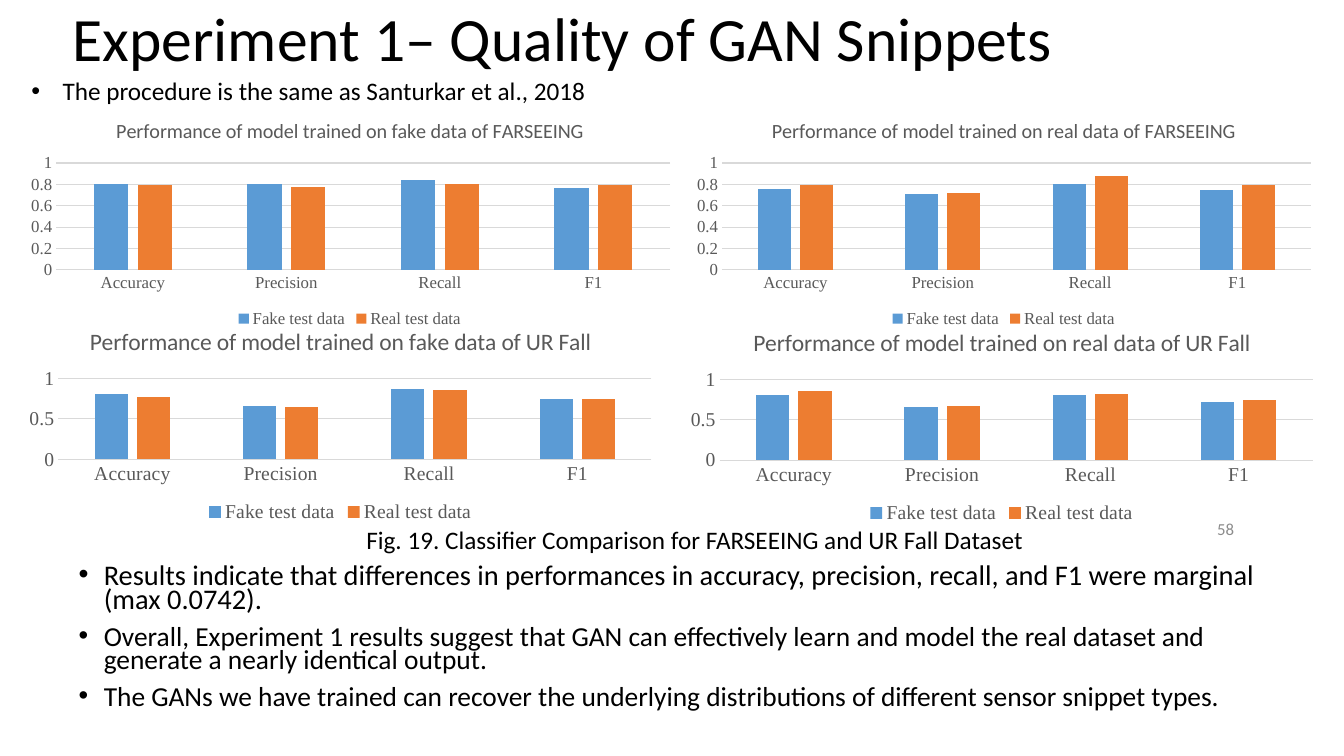
from dataclasses import dataclass

from pptx import Presentation
from pptx.chart.data import CategoryChartData
from pptx.dml.color import RGBColor
from pptx.enum.chart import XL_CHART_TYPE as ChartType
from pptx.enum.chart import XL_LEGEND_POSITION as LegendPosition
from pptx.enum.chart import XL_TICK_MARK as TickMark
from pptx.enum.text import MSO_ANCHOR as Anchor
from pptx.enum.text import MSO_AUTO_SIZE as AutoSize
from pptx.enum.text import PP_ALIGN as Align
from pptx.oxml import parse_xml
from pptx.oxml.ns import nsdecls, qn
from pptx.oxml.xmlchemy import OxmlElement
from pptx.util import Inches, Pt

# The slide is a grid of 100 columns by 100 rows
WIDTH, HEIGHT = Inches(13.33), Inches(7.5)
GRID = 100


@dataclass(frozen=True)
class Theme:
    sans: str = "Calibri"
    serif: str = "Times New Roman"
    ink: str = "000000"
    chart_ink: str = "595959"
    rule: str = "D9D9D9"
    number_ink: str = "8C8C8C"
    fake: str = "5B9BD5"
    real: str = "ED7D31"
    title: float = 44
    text: float = 18
    lead_finding: float = 20.3
    finding: float = 19.6
    number: float = 12
    chart_title_ratio: float = 1.2


@dataclass(frozen=True)
class Place:
    column: float
    row: float
    columns: float
    rows: float

    def bounds(self) -> tuple:
        return (int(WIDTH * self.column / GRID), int(HEIGHT * self.row / GRID),
                int(WIDTH * self.columns / GRID), int(HEIGHT * self.rows / GRID))


@dataclass(frozen=True)
class ChartStyle:
    size: float
    unit: float
    plot: tuple  # x, y, width, height as shares of the chart


@dataclass(frozen=True)
class ScoreChart:
    title: str
    place: Place
    style: ChartStyle
    fake: tuple
    real: tuple


THEME = Theme()
METRICS = ("Accuracy", "Precision", "Recall", "F1")
UPPER = ChartStyle(12, 0.2, (0.06, 0.26, 0.92, 0.47))
LOWER = ChartStyle(14, 0.5, (0.065, 0.31, 0.915, 0.375))
CHARTS = (
    ScoreChart("fake data of FARSEEING", Place(1.2, 13.73, 49.66, 30.13), UPPER,
               (0.8, 0.8, 0.84, 0.77), (0.79, 0.78, 0.8, 0.79)),
    ScoreChart("real data of FARSEEING", Place(50.86, 13.73, 47.64, 30.13), UPPER,
               (0.76, 0.71, 0.8, 0.75), (0.79, 0.72, 0.88, 0.79)),
    ScoreChart("fake data of UR Fall", Place(1.2, 41.2, 48.24, 28.53), LOWER,
               (0.81, 0.66, 0.87, 0.75), (0.77, 0.65, 0.85, 0.74)),
    ScoreChart("real data of UR Fall", Place(50.41, 41.33, 48.24, 28.53), LOWER,
               (0.81, 0.66, 0.8, 0.72), (0.85, 0.67, 0.82, 0.74)),
)
FINDINGS = (
    ("Results indicate that differences in performances in accuracy, precision, "
     "recall, and F1 were marginal (max 0.0742).", THEME.lead_finding),
    ("Overall, Experiment 1 results suggest that GAN can effectively learn and "
     "model the real dataset and generate a nearly identical output.", THEME.finding),
    ("The GANs we have trained can recover the underlying distributions of "
     "different sensor snippet types.", THEME.finding),
)


def set_font(font, size: float, color: str, name: str = THEME.sans) -> None:
    font.name, font.size, font.bold = name, Pt(size), False
    font.color.rgb = RGBColor.from_string(color)


def put(shape, place: Place, anchor=Anchor.TOP):
    shape.left, shape.top, shape.width, shape.height = place.bounds()
    frame = shape.text_frame
    frame.word_wrap, frame.auto_size, frame.vertical_anchor = True, AutoSize.NONE, anchor
    return frame


def write(frame, text: str, size: float, color: str = THEME.ink, align=Align.LEFT) -> None:
    para = frame.paragraphs[0]
    para.text, para.alignment = text, align
    set_font(para.font, size, color)


def write_bullets(frame, items: tuple, indent: float, spacing: float) -> None:
    for index, (text, size) in enumerate(items):
        para = frame.paragraphs[0] if index == 0 else frame.add_paragraph()
        para.text, para.alignment, para.line_spacing = text, Align.LEFT, spacing
        para.space_before = Pt(10 if index else 0)
        props = para._p.get_or_add_pPr()
        props.set("marL", str(Inches(indent)))
        props.set("indent", str(-Inches(indent)))
        for tag, key, value in (("a:buFont", "typeface", "Arial"), ("a:buChar", "char", "•")):
            bullet = OxmlElement(tag)
            bullet.set(key, value)
            props.append(bullet)
        set_font(para.font, size, THEME.ink)


def place_plot(chart, shares: tuple) -> None:
    plot_area = chart.element.find(".//" + qn("c:plotArea"))
    for layout in plot_area.findall(qn("c:layout")):
        plot_area.remove(layout)
    marks = '<c:layoutTarget val="inner"/><c:xMode val="edge"/><c:yMode val="edge"/>'
    marks += "".join(f'<c:{key} val="{share}"/>' for key, share in zip("xywh", shares))
    plot_area.insert(0, parse_xml(
        f'<c:layout {nsdecls("c")}><c:manualLayout>{marks}</c:manualLayout></c:layout>'))


def draw_chart(page, item: ScoreChart) -> None:
    style = item.style
    data = CategoryChartData()
    data.categories = METRICS
    data.add_series("Fake test data", item.fake)
    data.add_series("Real test data", item.real)
    chart = page.shapes.add_chart(
        ChartType.COLUMN_CLUSTERED, *item.place.bounds(), data).chart
    set_font(chart.font, style.size, THEME.chart_ink, THEME.serif)

    # Title and legend
    chart.has_title = True
    write(chart.chart_title.text_frame, f"Performance of model trained on {item.title}",
          style.size * THEME.chart_title_ratio, THEME.chart_ink, Align.CENTER)
    chart.chart_title.include_in_layout = False
    chart.has_legend = True
    chart.legend.position = LegendPosition.BOTTOM
    chart.legend.include_in_layout = False
    set_font(chart.legend.font, style.size, THEME.chart_ink, THEME.serif)

    # Axes
    scores, metrics = chart.value_axis, chart.category_axis
    scores.minimum_scale, scores.maximum_scale, scores.major_unit = 0, 1, style.unit
    for axis in (scores, metrics):
        axis.major_tick_mark = axis.minor_tick_mark = TickMark.NONE
        set_font(axis.tick_labels.font, style.size, THEME.chart_ink, THEME.serif)
    scores.format.line.fill.background()
    for line in (scores.major_gridlines.format.line, metrics.format.line):
        line.color.rgb = RGBColor.from_string(THEME.rule)
        line.width = Pt(0.75)

    # Columns
    plot = chart.plots[0]
    plot.gap_width, plot.overlap, plot.vary_by_categories = 219, -27, False
    for series, color in zip(plot.series, (THEME.fake, THEME.real)):
        series.format.fill.solid()
        series.format.fill.fore_color.rgb = RGBColor.from_string(color)
    place_plot(chart, style.plot)


def add_text(page, place: Place):
    return page.shapes.add_textbox(*place.bounds())


def main() -> None:
    deck = Presentation()
    deck.slide_width, deck.slide_height = WIDTH, HEIGHT
    page = deck.slides.add_slide(deck.slide_layouts.get_by_name("Two Content"))
    title, procedure, findings = page.placeholders

    # Title and lists
    write(put(title, Place(4.65, -0.27, 86.27, 11.47), Anchor.MIDDLE),
          "Experiment 1– Quality of GAN Snippets", THEME.title)
    title.text_frame.paragraphs[0].line_spacing = 0.9
    write_bullets(put(procedure, Place(1.58, 9.33, 43.06, 5.33)),
                  (("The procedure is the same as Santurkar et al., 2018", THEME.text),),
                  0.31, 1.0)
    write_bullets(put(findings, Place(5.1, 74.27, 89.65, 22.93)), FINDINGS, 0.25, 0.7)

    # Slide number
    number = Place(70.07, 67.33, 22.5, 5.33)
    write(put(add_text(page, number), number, Anchor.MIDDLE),
          "58", THEME.number, THEME.number_ink, Align.RIGHT)

    # Charts and their caption
    for item in CHARTS:
        draw_chart(page, item)
    caption = Place(23.93, 68.67, 55.51, 5.33)
    write(put(add_text(page, caption), caption),
          "Fig. 19. Classifier Comparison for FARSEEING and UR Fall Dataset",
          THEME.text, align=Align.CENTER)

    deck.save("out.pptx")


if __name__ == "__main__":
    main()
